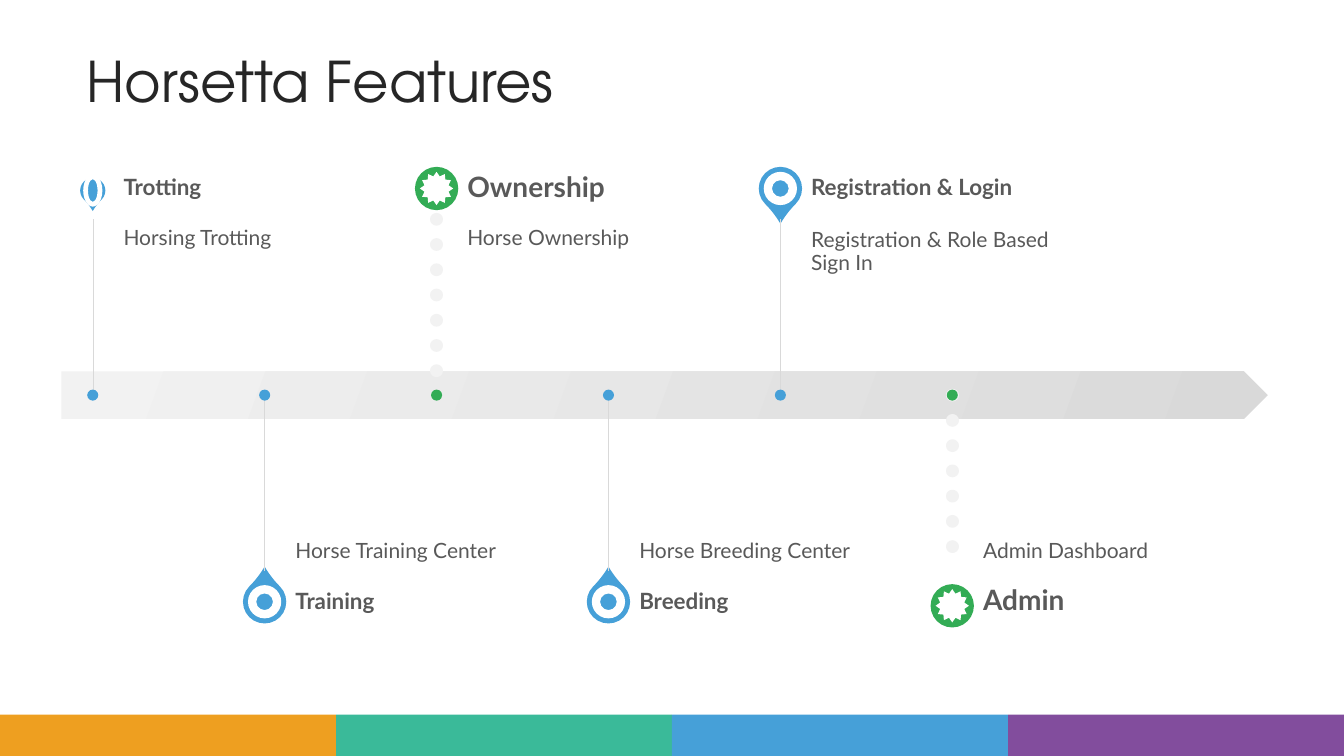
from dataclasses import dataclass

from lxml.etree import SubElement
from pptx import Presentation
from pptx.dml.color import RGBColor
from pptx.enum.dml import MSO_LINE
from pptx.enum.shapes import MSO_CONNECTOR, MSO_SHAPE as Preset
from pptx.enum.text import MSO_ANCHOR as Anchor
from pptx.oxml.ns import qn
from pptx.shapes.autoshape import Shape
from pptx.slide import Slide
from pptx.util import Inches, Pt

ORANGE = RGBColor(0xEE, 0x9F, 0x20)
TEAL = RGBColor(0x3A, 0xBA, 0x99)
BLUE = RGBColor(0x46, 0xA0, 0xD8)
PURPLE = RGBColor(0x82, 0x4D, 0x9D)
GREEN = RGBColor(0x33, 0xAC, 0x55)
WHITE = RGBColor(0xFF, 0xFF, 0xFF)
PALE_GREY = RGBColor(0xF2, 0xF2, 0xF2)
LIGHT_GREY = RGBColor(0xD9, 0xD9, 0xD9)
TEXT_GREY = RGBColor(0x59, 0x59, 0x59)
TITLE_GREY = RGBColor(0x26, 0x26, 0x26)

TITLE_FONT, BODY_FONT = "TeX Gyre Adventor", "Lato"
SLIDE_WIDTH, SLIDE_HEIGHT = 13.33, 7.5

# Grid in inches: one column per feature, one row either side of the axis
FIRST_COLUMN, COLUMN = 0.92, 1.705
AXIS, ROW, HEADING_ROW = 3.92, 1.745, 0.61
TEXT_OFFSET, TEXT_WIDTH = 0.305, 2.82
DOT, BADGE, BADGE_CORE = 0.11, 0.43, 0.33
ARROW_LEFT, ARROW_WIDTH, ARROW_HEIGHT = 0.61, 11.96, 0.47
FOOTER_HEIGHT = 0.41


@dataclass(frozen=True)
class Feature:
    heading: str
    detail: str
    starred: bool = False
    badge: float = BADGE
    core_width: float = BADGE_CORE
    core_height: float = BADGE_CORE
    badge_drop: float = 0


FEATURES = (
    Feature("Trotting", "Horsing Trotting", badge=0.25, core_width=0.19,
            core_height=0.32, badge_drop=0.02),
    Feature("Training", "Horse Training Center"),
    Feature("Ownership", "Horse Ownership", starred=True),
    Feature("Breeding", "Horse Breeding Center"),
    Feature("Registration & Login", "Registration & Role Based Sign In"),
    Feature("Admin", "Admin Dashboard", starred=True, badge_drop=0.04),
)


def add_plain_shape(slide: Slide, preset: Preset, left: float, top: float,
                    width: float, height: float, color: RGBColor) -> Shape:
    shape = slide.shapes.add_shape(
        preset, Inches(left), Inches(top), Inches(width), Inches(height))
    shape.shadow.inherit = False
    shape.fill.solid()
    shape.fill.fore_color.rgb = color
    shape.line.fill.background()
    return shape


def add_centred(slide: Slide, preset: Preset, x: float, y: float,
                width: float, height: float, color: RGBColor) -> Shape:
    """Add a shape whose middle lies at x, y."""
    return add_plain_shape(slide, preset, x - width / 2, y - height / 2,
                           width, height, color)


def add_text(slide: Slide, text: str, box: tuple[float, float, float, float],
             insets: tuple[float, float, float, float], anchor: Anchor,
             size: int, color: RGBColor = TEXT_GREY, name: str = BODY_FONT,
             bold: bool = False) -> None:
    """Add text; box is left, top, width, height, insets run clockwise from left."""
    frame = slide.shapes.add_textbox(*map(Inches, box)).text_frame
    frame.word_wrap = True
    frame.vertical_anchor = anchor
    (frame.margin_left, frame.margin_top,
     frame.margin_right, frame.margin_bottom) = map(Inches, insets)
    paragraph = frame.paragraphs[0]
    paragraph.text = text
    paragraph.line_spacing = 0.9
    font = paragraph.font
    font.name, font.size, font.bold = name, Pt(size), bold
    font.color.rgb = color


def add_stem(slide: Slide, x: float, top: float, dotted: bool) -> None:
    stem = slide.shapes.add_connector(
        MSO_CONNECTOR.STRAIGHT, Inches(x), Inches(top), Inches(x), Inches(top + ROW))
    stem.line.color.rgb = PALE_GREY if dotted else LIGHT_GREY
    stem.line.width = Pt(9 if dotted else 0.25)
    if dotted:
        stem.line.dash_style = MSO_LINE.ROUND_DOT
        stem.line._get_or_add_ln().set("cap", "rnd")
    SubElement(stem._element.spPr, qn("a:effectLst"))


def add_badge(slide: Slide, feature: Feature, x: float, y: float, above: bool) -> None:
    outer = Preset.OVAL if feature.starred else Preset.TEAR
    core = Preset.STAR_12_POINT if feature.starred else Preset.DONUT
    badge = add_centred(slide, outer, x, y, feature.badge, feature.badge,
                        GREEN if feature.starred else BLUE)
    badge.rotation = 135 if above else 315
    if not feature.starred:
        badge.adjustments[0] = 1.15
    add_centred(slide, core, x, y, feature.core_width, feature.core_height, WHITE)


def add_feature(slide: Slide, feature: Feature, column: int) -> None:
    above = column % 2 == 0
    x = FIRST_COLUMN + column * COLUMN
    text_left = x + TEXT_OFFSET
    row_top = AXIS - ROW if above else AXIS
    heading_top = row_top - HEADING_ROW if above else AXIS + ROW

    add_badge(slide, feature, x,
              heading_top + HEADING_ROW / 2 + feature.badge_drop, above)
    add_text(slide, feature.detail, (text_left, row_top, TEXT_WIDTH, ROW),
             (0, 0.1, 0.1, 0.16) if above else (0, 0.16, 0, 0.1),
             Anchor.TOP if above else Anchor.BOTTOM, 15)
    add_text(slide, feature.heading,
             (text_left, heading_top, TEXT_WIDTH, HEADING_ROW), (0, 0, 0.11, 0),
             Anchor.MIDDLE, 20 if feature.starred else 16, bold=True)
    add_stem(slide, x, row_top, feature.starred)
    add_centred(slide, Preset.OVAL, x, AXIS, DOT, DOT,
                GREEN if feature.starred else BLUE)


def add_axis_arrow(slide: Slide) -> None:
    arrow = add_plain_shape(slide, Preset.PENTAGON, ARROW_LEFT,
                            AXIS - ARROW_HEIGHT / 2, ARROW_WIDTH, ARROW_HEIGHT,
                            PALE_GREY)
    arrow.fill.gradient()
    arrow.fill.gradient_angle = 340
    for stop, color in zip(arrow.fill.gradient_stops, (PALE_GREY, LIGHT_GREY)):
        stop.color.rgb = color


def add_footer(slide: Slide) -> None:
    colors = (ORANGE, TEAL, BLUE, PURPLE)
    width = SLIDE_WIDTH / len(colors)
    for index, color in enumerate(colors):
        add_plain_shape(slide, Preset.RECTANGLE, index * width,
                        SLIDE_HEIGHT - FOOTER_HEIGHT, width, FOOTER_HEIGHT, color)


def main() -> None:
    presentation = Presentation()
    presentation.slide_width = Inches(SLIDE_WIDTH)
    presentation.slide_height = Inches(SLIDE_HEIGHT)
    slide = presentation.slides.add_slide(presentation.slide_layouts[6])

    add_footer(slide)
    add_text(slide, "Horsetta Features", (0.76, 0.31, 7.58, 1.06),
             (0.1, 0.05, 0.1, 0.05), Anchor.MIDDLE, 40, TITLE_GREY, TITLE_FONT)
    add_axis_arrow(slide)
    for column, feature in enumerate(FEATURES):
        add_feature(slide, feature, column)
    presentation.save("out.pptx")


if __name__ == "__main__":
    main()
